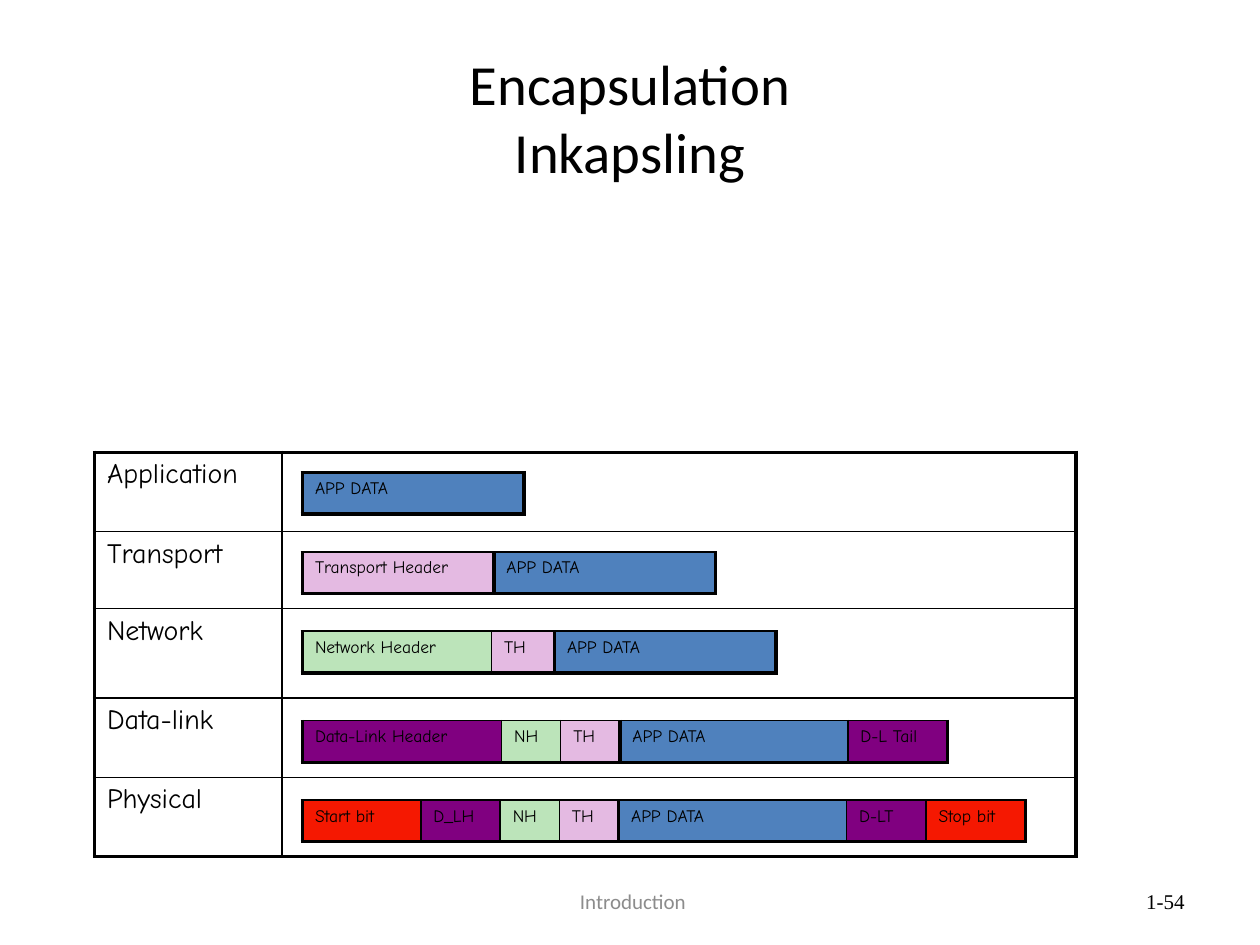
"""Build the encapsulation slide: five network layers and their data units."""
from dataclasses import dataclass

from lxml.etree import SubElement
from pptx import Presentation
from pptx.dml.color import RGBColor
from pptx.enum.text import MSO_ANCHOR, MSO_AUTO_SIZE, PP_ALIGN
from pptx.oxml.ns import qn
from pptx.util import Inches, Pt

W, H = Inches(10), Inches(7.5)
BLACK, BLUE, PINK, GREEN = "000000", "4F81BD", "E4BAE2", "BCE4BA"
PURPLE, RED = "800080", "F51801"
THIN, THICK = 1, 2.25
HAND = "Comic Neue"
BAR_LEFT, BAR_HEIGHT = 24, 4.4


@dataclass(frozen=True)
class Field:
    text: str
    width: float
    fill: str | None = None


@dataclass(frozen=True)
class Layer:
    name: str
    height: float
    bar_top: float
    fields: tuple[Field, ...]


NH = Field("NH", 4.7, GREEN)
TH = Field("TH", 4.7, PINK)
DATA = Field("APP DATA", 17.6, BLUE)
WIDE_DATA = Field("APP DATA", 18.1, BLUE)

LAYERS = (
    Layer("Application", 8.4, 50, (DATA,)),
    Layer("Transport", 8.13, 58.4, (Field("Transport Header", 15.2, PINK), DATA)),
    Layer("Network", 9.47, 66.8,
          (Field("Network Header", 15, GREEN), Field("TH", 5, PINK), DATA)),
    Layer("Data-link", 8.4, 76.27,
          (Field("Data-Link Header", 15.8, PURPLE), NH, TH, WIDE_DATA,
           Field("D-L Tail", 7.9, PURPLE))),
    Layer("Physical", 8.4, 84.67,
          (Field("Start bit", 9.4, RED), Field("D_LH", 6.3, PURPLE), NH, TH,
           WIDE_DATA, Field("D-LT", 6.3, PURPLE), Field("Stop bit", 7.9, RED))),
)


def rgb(color: str) -> RGBColor:
    return RGBColor.from_string(color)


def x(cols: float) -> int:
    return round(W * cols / 100)


def y(rows: float) -> int:
    return round(H * rows / 100)


def write(tf, text: str, *, size: float, font: str, color: str = BLACK,
          align=PP_ALIGN.LEFT, before: int = 0) -> None:
    tf.text = text
    p = tf.paragraphs[0]
    p.alignment = align
    if before:
        spc = SubElement(p._p.get_or_add_pPr(), qn("a:spcBef"))
        SubElement(spc, qn("a:spcPct"), val=str(before * 1000))
    for r in p.runs:
        r.font.size, r.font.name = Pt(size), font
        r.font.color.rgb = rgb(color)


def add_text(s, text: str, left: float, width: float, **fmt) -> None:
    sp = s.shapes.add_textbox(x(left), y(92.67), x(width), y(5.33))
    tf = sp.text_frame
    tf.word_wrap = True
    tf.vertical_anchor = MSO_ANCHOR.MIDDLE
    write(tf, text, size=12, **fmt)


def set_borders(cell, **widths: float) -> None:
    tcPr = cell._tc.get_or_add_tcPr()
    for i, side in enumerate("LRTB"):
        ln = SubElement(tcPr, qn(f"a:ln{side}"), w=str(Pt(widths[side])))
        fill = SubElement(ln, qn("a:solidFill"))
        SubElement(fill, qn("a:srgbClr"), val=BLACK)
        tcPr.insert(i, ln)


def add_grid(s, left: float, top: float, rows: list[tuple[Field, ...]],
             heights: list[float], size: float, top_line: float) -> None:
    widths = [f.width for f in rows[0]]
    tbl = s.shapes.add_table(len(rows), len(widths), x(left), y(top),
                             x(sum(widths)), y(sum(heights))).table
    tbl.first_row = tbl.horz_banding = False
    for col, width in zip(tbl.columns, widths):
        col.width = x(width)
    for row, height in zip(tbl.rows, heights):
        row.height = y(height)
    for i, fields in enumerate(rows):
        edges = [THICK if f.text == "APP DATA" else THIN for f in fields]
        edges = [THICK, *edges[1:], THICK]
        for j, f in enumerate(fields):
            cell = tbl.cell(i, j)
            if f.text:
                write(cell.text_frame, f.text, size=size, font=HAND, before=20)
            if f.fill:
                cell.fill.solid()
                cell.fill.fore_color.rgb = rgb(f.fill)
            else:
                cell.fill.background()
            set_borders(cell, L=edges[j], R=edges[j + 1],
                        T=THIN if i else top_line,
                        B=THICK if i == len(rows) - 1 else THIN)


def add_title(s, text: str) -> None:
    sp = s.shapes.title
    sp.left, sp.top, sp.width, sp.height = x(5), y(4), x(90), y(16.67)
    tf = sp.text_frame
    tf.auto_size = MSO_AUTO_SIZE.NONE
    tf.vertical_anchor = MSO_ANCHOR.MIDDLE
    write(tf, text, size=32.4, font="Calibri", align=PP_ALIGN.CENTER)


def main() -> None:
    prs = Presentation()
    prs.slide_width, prs.slide_height = W, H
    s = prs.slides.add_slide(prs.slide_layouts[5])
    add_title(s, "Encapsulation\vInkapsling")
    add_text(s, " Introduction", 34.2, 31.7, font="Calibri", color="8C8C8C",
             align=PP_ALIGN.CENTER)
    add_text(s, "1-54", 71.7, 23.3, font="Times New Roman", align=PP_ALIGN.RIGHT)
    add_grid(s, 7.5, 47.87, [(Field(l.name, 14.9), Field("", 63)) for l in LAYERS],
             [l.height for l in LAYERS], 16, THICK)
    for l in LAYERS:
        add_grid(s, BAR_LEFT, l.bar_top, [l.fields], [BAR_HEIGHT], 10,
                 THICK if len(l.fields) == 1 else THIN)
    prs.save("out.pptx")


if __name__ == "__main__":
    main()
